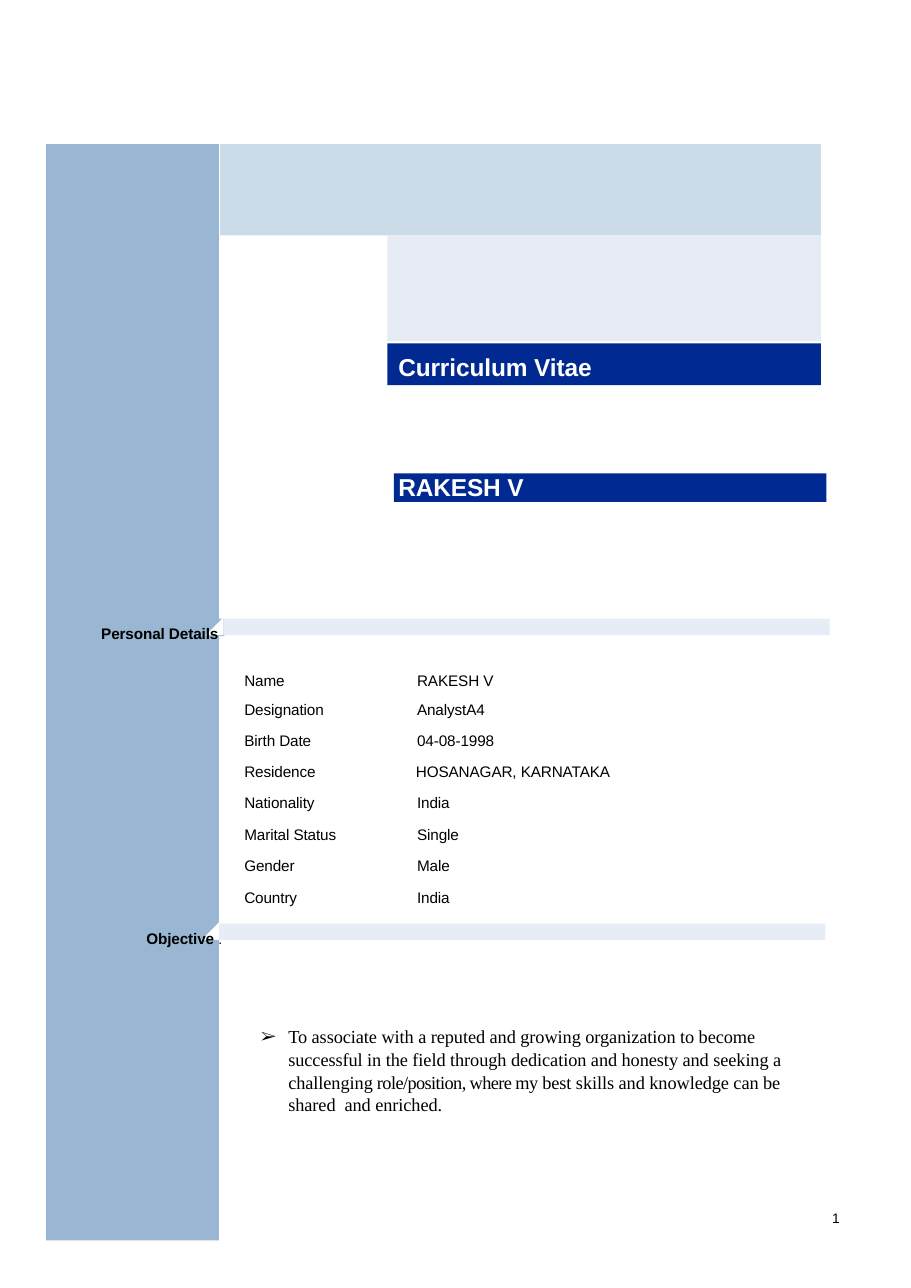
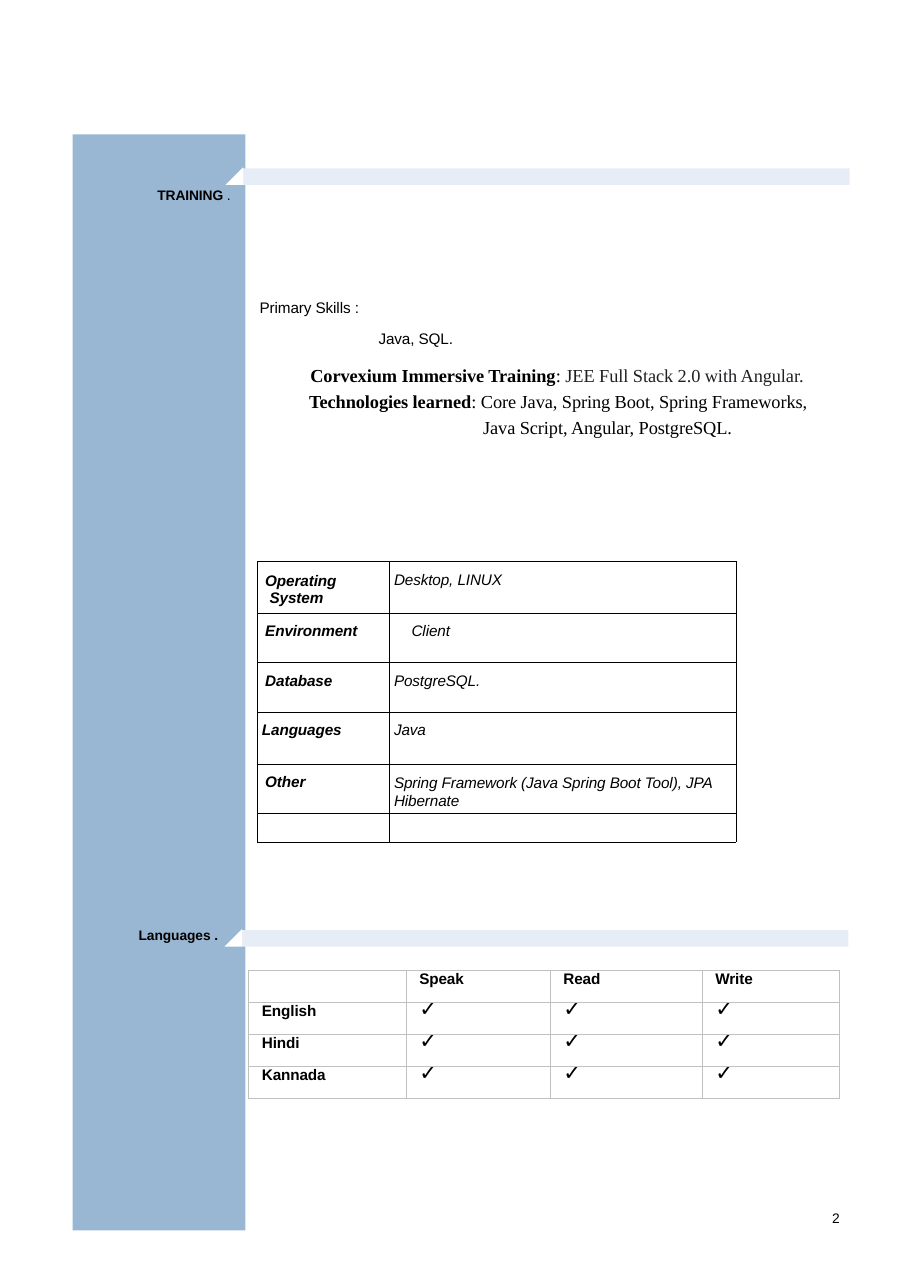
"""Build a two-page curriculum vitae with section bands and tables."""
from dataclasses import dataclass

from lxml.etree import SubElement
from pptx import Presentation
from pptx.dml.color import RGBColor
from pptx.enum.shapes import MSO_SHAPE
from pptx.enum.text import PP_ALIGN
from pptx.oxml import parse_xml
from pptx.oxml.ns import nsdecls, qn
from pptx.util import Inches, Pt


@dataclass(frozen=True)
class Theme:
    sidebar: str = "99B7D2"
    header: str = "CCDBE8"
    panel: str = "E6EBF4"
    title: str = "002A91"
    band: str = "E7EDF7"
    white: str = "FFFFFF"
    ink: str = "000000"
    soft_ink: str = "1F2023"
    grid: str = "C0C0C0"
    sans: str = "Arial"
    serif: str = "Times New Roman"
    title_size: float = 16
    prose_size: float = 12
    body_size: float = 10
    small_size: float = 9
    check_size: float = 14
    tracking: float = -0.05


THEME = Theme()
PAGE_WIDTH, PAGE_HEIGHT = Pt(596), Pt(842.5)
SIDEBAR_SIZE = (1.57, 9.96)
BAND_SIZE = (5.51, 0.15)
NOTCH = 0.16

PERSONAL = [
    ("Name", "RAKESH V"),
    ("Designation", "AnalystA4"),
    ("Birth Date", "04-08-1998"),
    ("Residence", "HOSANAGAR, KARNATAKA"),
    ("Nationality", "India"),
    ("Marital Status", "Single"),
    ("Gender", "Male"),
    ("Country", "India"),
]
PERSONAL_HEIGHTS = [0.22, 0.28, 0.28, 0.28, 0.29, 0.28, 0.29, 0.21]
OBJECTIVE = [
    "To associate with a reputed and growing organization to become successful in "
    "the field through dedication and honesty and seeking a challenging",
    (" role/position, where my ", {"tracking": -0.4}),
    "best skills and knowledge can be shared  and enriched.",
]
SERIF = {"font": THEME.serif, "size": THEME.prose_size}
BOLD = {"bold": True}
TRAINING = [
    (["Primary Skills :"], {"indent": 0.01}),
    (["Java, SQL."], {"indent": 1.09, "before": 8.4}),
    ([("Corvexium Immersive Training", BOLD), ": ",
      ("JEE Full Stack 2.0 with Angular.", {"color": THEME.soft_ink})],
     {"indent": 0.47, "before": 11, **SERIF}),
    ([("Technologies learned", BOLD), ": Core Java, Spring Boot, Spring Frameworks,"],
     {"indent": 0.46, "before": 2.4, **SERIF}),
    (["Java Script, Angular, PostgreSQL."], {"indent": 2.04, "before": 2.4, **SERIF}),
]
SKILLS = [
    ("Operating System", "Desktop, LINUX"),
    ("Environment", "Client"),
    ("Database", "PostgreSQL."),
    ("Languages", "Java"),
    ("Other", "Spring Framework (Java Spring Boot Tool), JPA Hibernate"),
    ("", ""),
]
TWO_LINES = {"leading": Pt(11.4)}
SKILL_STYLES = {
    "Languages": {"indent": 0.04},
    "Client": {"indent": 0.2},
    SKILLS[0][0]: {"indent": 0.11, "hanging": 0.04, **TWO_LINES},
    SKILLS[4][1]: TWO_LINES,
}
ABILITIES = ["Speak", "Read", "Write"]
SPOKEN = ["English", "Hindi", "Kannada"]


def paint(shape, color):
    shape.shadow.inherit = False
    shape.fill.solid()
    shape.fill.fore_color.rgb = RGBColor.from_string(color)
    shape.line.fill.background()
    return shape


def add_block(page, left, top, width, height, color):
    block = page.shapes.add_shape(
        MSO_SHAPE.RECTANGLE, Inches(left), Inches(top), Inches(width), Inches(height))
    return paint(block, color)


def add_band(page, left, top):
    add_block(page, left, top, *BAND_SIZE, THEME.band)
    bottom = top + BAND_SIZE[1]
    builder = page.shapes.build_freeform(
        Inches(left), Inches(bottom - NOTCH), scale=1.0)
    builder.add_line_segments(
        [(Inches(left - NOTCH), Inches(bottom)), (Inches(left), Inches(bottom))],
        close=True)
    paint(builder.convert_to_shape(), THEME.white)


def write_paragraph(para, spans, indent=0.0, hanging=0.0, right=0.0, before=0,
                    leading=None, bullet=None, **base):
    properties = para._p.get_or_add_pPr()
    properties.set("marL", str(Inches(indent)))
    properties.set("marR", str(Inches(right)))
    properties.set("indent", str(-Inches(hanging)))
    para.alignment = PP_ALIGN.LEFT
    para.space_before = Pt(before)
    if leading:
        para.line_spacing = leading
    if bullet:
        SubElement(properties, qn("a:buSzPct")).set("val", "92000")
        SubElement(properties, qn("a:buFont")).set("typeface", THEME.serif)
        SubElement(properties, qn("a:buChar")).set("char", bullet)
    for item in spans:
        text, changes = (item, {}) if isinstance(item, str) else item
        style = {**base, **changes}
        span = para.add_run()
        span.text = text
        span.font.name = style.get("font", THEME.sans)
        span.font.size = Pt(style.get("size", THEME.body_size))
        span.font.bold = style.get("bold", False)
        span.font.italic = style.get("italic", False)
        span.font.color.rgb = RGBColor.from_string(style.get("color", THEME.ink))
        tracking = style.get("tracking", THEME.tracking)
        span._r.get_or_add_rPr().set("spc", str(round(tracking * 100)))


def write_frame(frame, paragraphs, inset=0.01):
    frame.word_wrap = True
    frame.margin_left = frame.margin_right = frame.margin_bottom = 0
    frame.margin_top = Inches(inset)
    for index, (spans, style) in enumerate(paragraphs):
        para = frame.add_paragraph() if index else frame.paragraphs[0]
        write_paragraph(para, spans, **style)


def add_text(page, left, top, width, height, paragraphs, inset=0.01):
    box = page.shapes.add_textbox(
        Inches(left), Inches(top), Inches(width), Inches(height))
    write_frame(box.text_frame, paragraphs, inset)


def add_label(page, left, top, width, text, size, dot=None):
    spans = [text] if dot is None else [text + " ", (".", dot)]
    style = {"indent": 0.01, "size": size, "bold": True}
    add_text(page, left, top, width, 0.19, [(spans, style)])


def set_borders(cell, color, width):
    properties = cell._tc.get_or_add_tcPr()
    for position, side in enumerate(("lnL", "lnR", "lnT", "lnB")):
        properties.insert(position, parse_xml(
            f'<a:{side} {nsdecls("a")} w="{Pt(width)}"><a:solidFill>'
            f'<a:srgbClr val="{color}"/></a:solidFill></a:{side}>'))


def add_grid(page, left, top, widths, heights, rows, border=None):
    """Draw rows of (text, top inset, style) cells."""
    table = page.shapes.add_table(
        len(heights), len(widths), Inches(left), Inches(top),
        Inches(sum(widths)), Inches(sum(heights))).table
    table.first_row = table.horz_banding = False
    for column, width in zip(table.columns, widths):
        column.width = Inches(width)
    for row, height, contents in zip(table.rows, heights, rows):
        row.height = Inches(height)
        for cell, (text, inset, style) in zip(row.cells, contents):
            cell.fill.background()
            cell.margin_left = cell.margin_right = cell.margin_bottom = 0
            cell.margin_top = Inches(inset)
            para = cell.text_frame.paragraphs[0]
            if text:
                write_paragraph(para, [text], **style)
            else:
                end = SubElement(para._p, qn("a:endParaRPr"))
                end.set("sz", str(round(THEME.body_size * 100)))
            if border:
                set_borders(cell, *border)


def personal_rows():
    for index, (label, value) in enumerate(PERSONAL):
        inset = 0.05 if index else 0
        indent = 0.36 if label == "Residence" else 0.37
        yield [(label, inset, {"indent": 0.14}), (value, inset, {"indent": indent})]


def skill_cell(text, indent, bold):
    style = {"indent": indent, "bold": bold, "italic": True,
             **SKILL_STYLES.get(text, {})}
    inset = 0.1 if "leading" in style else 0.09
    return text, inset if text else 0, style


def skill_rows():
    for label, value in SKILLS:
        yield [skill_cell(label, 0.07, True), skill_cell(value, 0.04, False)]


def language_rows():
    heading = {"indent": 0.12, "bold": True, "leading": Pt(11.2)}
    check = {"indent": 0.12, "size": THEME.check_size, "leading": Pt(12.2)}
    yield [(text, 0, heading) for text in ["", *ABILITIES]]
    for language in SPOKEN:
        yield [(language, 0, heading)] + [("✓", 0, check)] * len(ABILITIES)


def start_page(deck, left, top):
    page = deck.slides.add_slide(deck.slide_layouts[6])
    add_block(page, left, top, *SIDEBAR_SIZE, THEME.sidebar)
    number = ([str(len(deck.slides))], {"indent": 0.04, "size": THEME.small_size})
    add_text(page, 7.52, 10.99, 0.15, 0.17, [number], inset=0)
    return page


def build_profile(deck):
    page = start_page(deck, 0.42, 1.31)
    add_block(page, 3.52, 2.14, 3.94, 0.96, THEME.panel)
    add_block(page, 2, 1.31, 5.46, 0.83, THEME.header)
    add_block(page, 3.52, 3.12, 3.94, 0.38, THEME.title)
    add_block(page, 0.62, 5.62, 1.42, 0.16, THEME.sidebar)
    add_band(page, 2.03, 5.62)
    add_band(page, 1.99, 8.39)
    heading = {"size": THEME.title_size, "color": THEME.white, "bold": True}
    add_text(page, 3.61, 3.19, 1.8, 0.29,
             [(["Curriculum Vitae"], {"indent": 0.01, **heading})])
    name = add_block(page, 3.58, 4.3, 3.93, 0.26, THEME.title)
    write_frame(name.text_frame, [
        (["RAKESH V"], {"indent": 0.04, "leading": Pt(18.2), **heading})], 0)
    add_label(page, 0.91, 5.66, 1.11, "Personal Details", THEME.body_size)
    add_label(page, 1.32, 8.43, 0.75, "Objective", THEME.body_size,
              {"bold": False, "size": THEME.small_size})
    add_grid(page, 2.08, 6.11, [1.34, 2.91], PERSONAL_HEIGHTS, personal_rows())
    add_text(page, 2.36, 9.3, 5.18, 0.85, [
        (OBJECTIVE, {"indent": 0.26, "hanging": 0.25, "right": 0.35,
                     "leading": 1.03, "bullet": "➢", **SERIF})])


def build_skills(deck):
    page = start_page(deck, 0.66, 1.22)
    add_band(page, 2.21, 1.53)
    add_band(page, 2.2, 8.45)
    add_label(page, 1.42, 1.69, 0.73, "TRAINING", THEME.small_size, {"bold": False})
    add_label(page, 1.25, 8.41, 0.79, "Languages", THEME.small_size, BOLD)
    add_text(page, 2.35, 2.7, 5.07, 1.3, TRAINING)
    add_grid(page, 2.34, 5.1, [1.2, 3.15], [0.47, 0.45, 0.45, 0.47, 0.45, 0.26],
             skill_rows(), (THEME.ink, 0.25))
    add_grid(page, 2.26, 8.82, [1.43, 1.31, 1.38, 1.25], [0.29] * 4,
             language_rows(), (THEME.grid, 0.5))


def main():
    deck = Presentation()
    deck.slide_width, deck.slide_height = PAGE_WIDTH, PAGE_HEIGHT
    deck.element.sldSz.attrib.pop("type", None)
    build_profile(deck)
    build_skills(deck)
    deck.save("out.pptx")


main()
